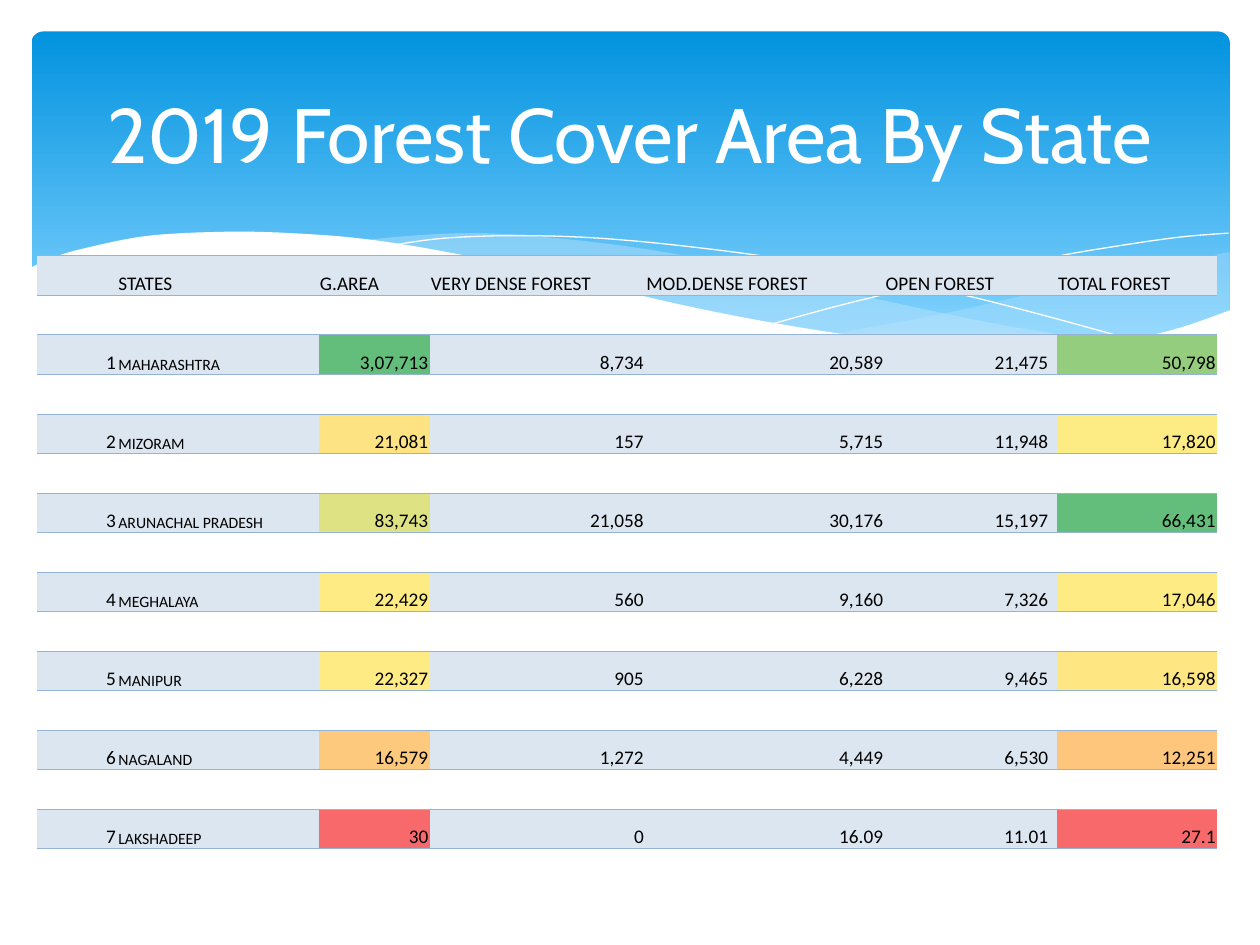
"""Build the slide with forest cover by state for 2019."""
from dataclasses import dataclass
from typing import Optional

import lxml.etree
import pptx
import pptx.dml.color
import pptx.enum.shapes
import pptx.enum.text
import pptx.oxml.ns
import pptx.util

Inches = pptx.util.Inches
Pt = pptx.util.Pt
RGBColor = pptx.dml.color.RGBColor
Align = pptx.enum.text.PP_ALIGN
Anchor = pptx.enum.text.MSO_ANCHOR
qn = pptx.oxml.ns.qn
Point = tuple[float, float]

WHITE = RGBColor(0xFF, 0xFF, 0xFF)
BLACK = RGBColor(0, 0, 0)
SKY_TOP = RGBColor(0x02, 0x93, 0xE0)
SKY_BOTTOM = RGBColor(0x83, 0xD3, 0xFE)
MIST = RGBColor(0xC6, 0xE7, 0xFC)
BAND = RGBColor(0xDC, 0xE6, 0xF1)
RULE = RGBColor(0x95, 0xB3, 0xD7)
GREEN = RGBColor(0x63, 0xBE, 0x7B)
LIGHT_GREEN = RGBColor(0x95, 0xCD, 0x7E)
LIME = RGBColor(0xDE, 0xE2, 0x83)
YELLOW = RGBColor(0xFF, 0xEB, 0x84)
PALE_YELLOW = RGBColor(0xFD, 0xEB, 0x84)
GOLD = RGBColor(0xFE, 0xE3, 0x82)
LIGHT_GOLD = RGBColor(0xFE, 0xE7, 0x83)
ORANGE = RGBColor(0xFD, 0xC9, 0x7D)
DEEP_ORANGE = RGBColor(0xFD, 0xC6, 0x7C)
RED = RGBColor(0xF8, 0x69, 0x6B)

NO_STYLE = "{2D5ABB26-0587-4C30-8999-92F81FD0307C}"
COLUMN_WIDTHS = (0.64, 0.64, 1.6, 0.88, 1.71, 1.9, 1.31, 0.05, 1.27)
TEXT_COLUMNS = (1, 2, 3, 4, 5, 6, 8)
STATE_COLUMN, AREA_COLUMN, TOTAL_COLUMN = 2, 3, 8
HEADINGS = ("", "STATES", "G.AREA", "VERY DENSE FOREST", "MOD.DENSE FOREST",
            "OPEN FOREST", "TOTAL FOREST")


@dataclass(frozen=True)
class Wave:
    """A shape bounded by smooth edges, each given by its knots."""
    edges: tuple[tuple[Point, ...], ...]
    color: RGBColor
    opacity: int = 100
    closed: bool = True


@dataclass(frozen=True)
class State:
    """One state's figures and the heat colours of its area and total."""
    name: str
    figures: tuple[str, ...]
    area_color: RGBColor
    total_color: RGBColor


WAVES = (
    Wave((((9.76, 2), (9.21, 2.1), (8.61, 2.23), (7.53, 2.48), (6.61, 2.65)),
          ((6.61, 2.65), (7.05, 2.71), (7.57, 2.76), (8.03, 2.78), (8.54, 2.76),
           (9.05, 2.69), (9.42, 2.59), (9.76, 2.47))), MIST, 29),
    Wave((((2.86, 1.91), (3.28, 1.87), (3.8, 1.85), (4.42, 1.89), (5.14, 1.98),
           (5.84, 2.11), (6.68, 2.31), (7.41, 2.47), (8.07, 2.6), (8.93, 2.73)),
          ((8.93, 2.73), (8.48, 2.77), (7.96, 2.78), (7.36, 2.75), (6.65, 2.66),
           (5.84, 2.52), (4.91, 2.32), (4.27, 2.16), (3.62, 2.03), (2.86, 1.91))),
         MIST, 40),
    Wave((((3.09, 1.95), (3.53, 1.89), (4.16, 1.87), (4.89, 1.9), (5.82, 2),
           (6.65, 2.13), (7.6, 2.33), (8.31, 2.51), (9.07, 2.72)),),
         WHITE, closed=False),
    Wave((((6.13, 2.57), (6.72, 2.41), (7.48, 2.23), (8.36, 2.04), (8.95, 1.94),
           (9.38, 1.88), (9.75, 1.85)),), WHITE, closed=False),
    Wave((((9.77, 2.46), (9.3, 2.62), (8.75, 2.73), (8.09, 2.77), (7.26, 2.72),
           (6.48, 2.62), (5.55, 2.45), (4.47, 2.2), (3.65, 2.02), (2.92, 1.9),
           (2.3, 1.85), (1.77, 1.84), (1.19, 1.87), (0.76, 1.95), (0.46, 2.03),
           (0.23, 2.13)),
          ((0.23, 3.29), (9.77, 3.29))), WHITE),
)

STATES = (
    State("MAHARASHTRA", ("3,07,713", "8,734", "20,589", "21,475", "50,798"), GREEN, LIGHT_GREEN),
    State("MIZORAM", ("21,081", "157", "5,715", "11,948", "17,820"), GOLD, PALE_YELLOW),
    State("ARUNACHAL PRADESH", ("83,743", "21,058", "30,176", "15,197", "66,431"), LIME, GREEN),
    State("MEGHALAYA", ("22,429", "560", "9,160", "7,326", "17,046"), YELLOW, YELLOW),
    State("MANIPUR", ("22,327", "905", "6,228", "9,465", "16,598"), YELLOW, LIGHT_GOLD),
    State("NAGALAND", ("16,579", "1,272", "4,449", "6,530", "12,251"), ORANGE, DEEP_ORANGE),
    State("LAKSHADEEP", ("30", "0", "16.09", "11.01", "27.1"), RED, RED),
)


def smooth(knots: tuple[Point, ...], steps: int = 6) -> list[Point]:
    """Return points on a Catmull-Rom curve through the knots."""
    padded = (knots[0], *knots, knots[-1])
    points = [knots[0]]
    for a, b, c, d in zip(padded, padded[1:], padded[2:], padded[3:]):
        for step in range(1, steps + 1):
            t = step / steps
            points.append(tuple(
                0.5 * (2 * q + (r - p) * t + (2 * p - 5 * q + 4 * r - s) * t ** 2
                       + (3 * q - p - 3 * r + s) * t ** 3)
                for p, q, r, s in zip(a, b, c, d)))
    return points


def draw_sky(page) -> None:
    """Draw the rounded gradient panel."""
    sky = page.shapes.add_shape(pptx.enum.shapes.MSO_SHAPE.ROUNDED_RECTANGLE,
                                Inches(0.25), Inches(0.25), Inches(9.51), Inches(2.7))
    sky.adjustments[0] = 0.034
    sky.shadow.inherit = False
    sky.line.fill.background()
    sky.fill.gradient()
    sky.fill.gradient_angle = 270
    for stop, color, position in zip(sky.fill.gradient_stops, (SKY_TOP, SKY_BOTTOM), (0, 0.9)):
        stop.color.rgb = color
        stop.position = position


def draw_wave(page, wave: Wave) -> None:
    """Draw one wave as a filled outline or an open hairline."""
    points = [(Inches(x), Inches(y)) for edge in wave.edges for x, y in smooth(edge)]
    builder = page.shapes.build_freeform(*points[0])
    builder.add_line_segments(points[1:], close=wave.closed)
    shape = builder.convert_to_shape()
    shape.shadow.inherit = False
    if not wave.closed:
        shape.fill.background()
        shape.line.color.rgb = wave.color
        shape.line.width = Pt(0)
        return
    shape.line.fill.background()
    shape.fill.solid()
    shape.fill.fore_color.rgb = wave.color
    if wave.opacity < 100:
        color = shape._element.spPr.find(f"{qn('a:solidFill')}/{qn('a:srgbClr')}")
        lxml.etree.SubElement(color, qn("a:alpha"), val=str(wave.opacity * 1000))


def add_span(para, text: str, font: str, size: float, color: RGBColor) -> None:
    """Add one formatted run."""
    span = para.add_run()
    span.text = text
    span.font.name = font
    span.font.size = Pt(size)
    span.font.color.rgb = color


def draw_title(page) -> None:
    """Draw the slide title."""
    box = page.shapes.add_textbox(Inches(0.5), Inches(0.37), Inches(9), Inches(1.37))
    box.text_frame.word_wrap = True
    box.text_frame.vertical_anchor = Anchor.MIDDLE
    para = box.text_frame.paragraphs[0]
    para.alignment = Align.CENTER
    add_span(para, "2019 Forest Cover Area By State", "Cabin", 44, WHITE)


def add_rule(cell, side: str) -> None:
    """Put a thin rule on one side of a cell."""
    rule = lxml.etree.Element(qn(f"a:{side}"), w=str(Pt(0.5)))
    fill = lxml.etree.SubElement(rule, qn("a:solidFill"))
    lxml.etree.SubElement(fill, qn("a:srgbClr"), val=str(RULE))
    cell._tc.get_or_add_tcPr().insert(0, rule)


def fill_cell(cell, text: str, size: float, align: Align, color: Optional[RGBColor]) -> None:
    """Set the text and fill of one cell."""
    cell.margin_left = cell.margin_right = cell.margin_top = Inches(0.01)
    cell.margin_bottom = 0
    cell.vertical_anchor = Anchor.BOTTOM
    para = cell.text_frame.paragraphs[0]
    para.alignment = align
    if text:
        add_span(para, text, "Calibri", size, BLACK)
    else:
        lxml.etree.SubElement(para._p, qn("a:endParaRPr"), sz="900")
    if color is None:
        cell.fill.background()
    else:
        cell.fill.solid()
        cell.fill.fore_color.rgb = color


def draw_table(page) -> None:
    """Draw the table, with an empty row before each filled row."""
    row_count = 2 * (len(STATES) + 1)
    frame = page.shapes.add_table(row_count, len(COLUMN_WIDTHS),
                                  Inches(-0.35), Inches(1.78), Inches(10), Inches(4.96))
    table = frame.table
    table.first_row = table.horz_banding = False
    table._tbl.tblPr.find(qn("a:tableStyleId")).text = NO_STYLE
    for column, width in zip(table.columns, COLUMN_WIDTHS):
        column.width = Inches(width)
    for index, row in enumerate(table.rows):
        row.height = Inches(4.71 / (row_count - 1)) if index else Inches(0.25)
        number = index // 2
        state = STATES[number - 1] if index % 2 and number else None
        values = (str(number), state.name, *state.figures) if state else HEADINGS
        texts = dict(zip(TEXT_COLUMNS, values)) if index % 2 else {}
        heat = {AREA_COLUMN: state.area_color, TOTAL_COLUMN: state.total_color} if state else {}
        for place, cell in enumerate(row.cells):
            named = place == STATE_COLUMN
            fill_cell(cell, texts.get(place, ""), 9 if state and named else 11,
                      Align.RIGHT if state and not named else Align.LEFT,
                      heat.get(place, BAND) if index % 2 and place else None)
            if place:
                for side in ("lnB", "lnT") if index else ("lnB",):
                    add_rule(cell, side)


def main() -> None:
    """Build and save the deck."""
    deck = pptx.Presentation()
    deck.slide_width, deck.slide_height = Inches(10), Inches(7.5)
    page = deck.slides.add_slide(deck.slide_layouts[6])
    draw_sky(page)
    for wave in WAVES:
        draw_wave(page, wave)
    draw_title(page)
    draw_table(page)
    deck.save("out.pptx")


if __name__ == "__main__":
    main()
